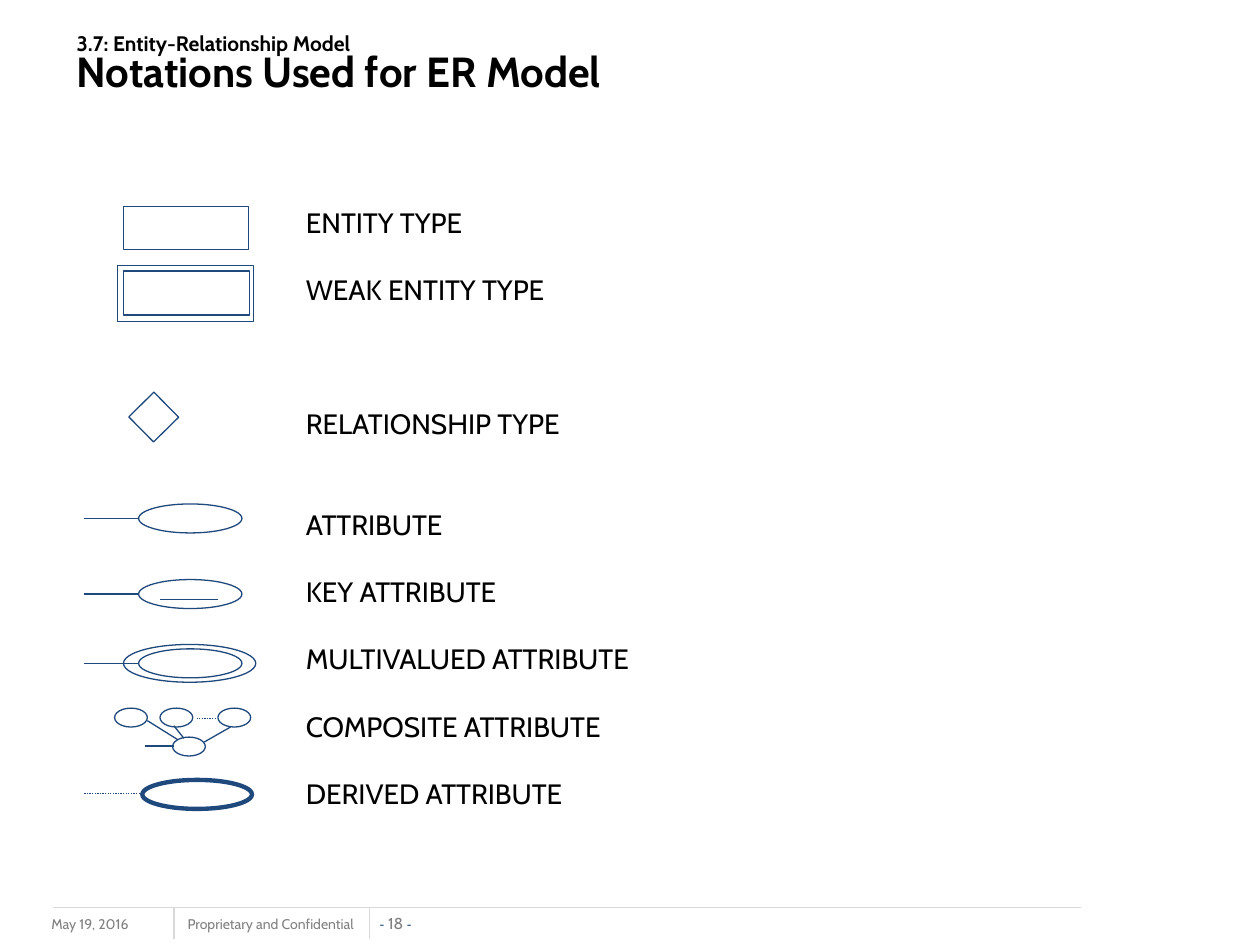
import pptx
import pptx.util
import pptx.dml.color
import pptx.enum.dml
import pptx.enum.shapes
import pptx.enum.text
import pptx.oxml
import pptx.oxml.ns

COLORS = {"ink": "1F497D", "rule": "D9D9D9", "muted": "808080", "text": "000000"}
COLUMNS, ROWS = 100, 75
RECTANGLE = pptx.enum.shapes.MSO_SHAPE.RECTANGLE
OVAL = pptx.enum.shapes.MSO_SHAPE.OVAL
ANCHOR = pptx.enum.text.MSO_ANCHOR
ALIGN = pptx.enum.text.PP_ALIGN
AUTO_SIZE = pptx.enum.text.MSO_AUTO_SIZE


class NotationSlide:
    """Draws ER notation on one slide, measured in columns and rows of a grid."""

    def __init__(self, presentation):
        self.column = presentation.slide_width / COLUMNS
        self.row = presentation.slide_height / ROWS
        self.slide = presentation.slides.add_slide(presentation.slide_layouts[6])
        self.shapes = self.slide.shapes

    def start_group(self):
        self.shapes = self.slide.shapes.add_group_shape().shapes

    def end_group(self):
        self.shapes = self.slide.shapes

    def place(self, *lengths):
        return [round(length * unit) for length, unit in zip(lengths, (self.column, self.row) * 2)]

    def color(self, name):
        return pptx.dml.color.RGBColor.from_string(COLORS[name])

    def outline(self, kind, left, top, width, height, weight=0.75, rotation=0):
        shape = self.shapes.add_shape(kind, *self.place(left, top, width, height))
        shape.shadow.inherit = False
        shape.fill.background()
        shape.line.color.rgb = self.color("ink")
        shape.line.width = pptx.util.Pt(weight)
        shape.rotation = rotation

    def line(self, start, end, color="ink", dotted=False):
        connector = self.shapes.add_connector(
            pptx.enum.shapes.MSO_CONNECTOR.STRAIGHT, *self.place(*start, *end))
        connector.line.color.rgb = self.color(color)
        connector.line.width = pptx.util.Pt(0.75)
        if dotted:
            connector.line.dash_style = pptx.enum.dml.MSO_LINE.ROUND_DOT
        connector._element.spPr.append(pptx.oxml.parse_xml(
            f"<a:effectLst {pptx.oxml.ns.nsdecls('a')}/>"))

    def text_frame(self, box, anchor=ANCHOR.TOP, wrap=True, grow=False):
        frame = self.shapes.add_textbox(*self.place(*box)).text_frame
        frame.word_wrap = wrap
        frame.vertical_anchor = anchor
        frame.auto_size = AUTO_SIZE.SHAPE_TO_FIT_TEXT if grow else AUTO_SIZE.NONE
        return frame

    def style(self, font, size, color="text", bold=False, name="Cabin"):
        font.name = name
        font.size = pptx.util.Pt(size)
        font.bold = bold
        font.color.rgb = self.color(color)

    def footer_text(self, text, box, wrap=True):
        paragraph = self.text_frame(box, wrap=wrap, grow=not wrap).paragraphs[0]
        paragraph.text = text
        self.style(paragraph.font, 8, "muted")

    def page_number(self, number, box):
        frame = self.text_frame(box, ANCHOR.BOTTOM, wrap=False, grow=True)
        frame.margin_left = frame.margin_right = frame.margin_top = frame.margin_bottom = 0
        paragraph = frame.paragraphs[0]
        paragraph.alignment = ALIGN.CENTER
        dash = (8, "ink", False, "Arial")
        for text, style in (("- ", dash), (f"{number} ", (9, "muted")), ("-", dash)):
            run = paragraph.add_run()
            run.text = text
            self.style(run.font, *style)

    def title(self, section, heading, box):
        paragraph = self.text_frame(box, ANCHOR.MIDDLE).paragraphs[0]
        paragraph.line_spacing = 0.8
        self.style(paragraph.font, 12, bold=True)
        paragraph.add_run().text = section
        paragraph.add_line_break()
        run = paragraph.add_run()
        run.text = heading
        run.font.size = pptx.util.Pt(24)

    def labels(self, entries, box, size=16):
        frame = self.text_frame(box, grow=True)
        for index, (text, gap_lines) in enumerate(entries):
            paragraph = frame.add_paragraph() if index else frame.paragraphs[0]
            paragraph.text = text
            paragraph.space_before = pptx.util.Pt(gap_lines * size * 1.2)
            self.style(paragraph.font, size)

    def attribute(self, top, underlined=False, multivalued=False):
        middle = top + 1.15
        self.start_group()
        self.outline(OVAL, 11, top, 8.2, 2.3)
        self.line((11, middle), (6.7, middle))
        if underlined:
            self.line((12.7, middle + 0.45), (17.3, middle + 0.45))
        if multivalued:
            self.outline(OVAL, 9.8, middle - 1.5, 10.5, 3)
        self.end_group()

    def composite_attribute(self):
        self.start_group()
        for left, top in ((9.1, 56.2), (12.7, 56.2), (17.3, 56.2), (13.7, 58.5)):
            self.outline(OVAL, left, top, 2.6, 1.5)
        for start, end in (((13.8, 59.2), (11.5, 59.2)), ((11.7, 57.2), (14.1, 58.7)),
                           ((13.8, 57.6), (14.6, 58.6)), ((16.2, 58.9), (18.3, 57.7))):
            self.line(start, end)
        self.line((15.6, 57), (17.2, 57), dotted=True)
        self.end_group()


def main():
    presentation = pptx.Presentation()
    presentation.slide_width = pptx.util.Inches(10)
    presentation.slide_height = pptx.util.Inches(7.5)
    page = NotationSlide(presentation)

    page.footer_text("May 19, 2016", (3.1, 72.2, 13.3, 2.5))
    page.footer_text("Proprietary and Confidential", (13.9, 72.2, 15.7, 2.4), wrap=False)
    page.page_number(18, (30.1, 72.5, 2.6, 1.5))
    page.line((85.8, 72), (4.2, 72), "rule")
    for left in (13.8, 29.3):
        page.line((left, 72), (left, 74.5), "rule")

    page.outline(RECTANGLE, 9.8, 16.4, 9.9, 3.4)
    page.start_group()
    page.outline(RECTANGLE, 9.8, 21.5, 10, 3.5)
    page.outline(RECTANGLE, 9.3, 21.1, 10.8, 4.4)
    page.end_group()
    page.outline(RECTANGLE, 10.8, 31.7, 2.8, 2.8, rotation=45.4)

    page.attribute(40)
    page.attribute(46, underlined=True)
    page.attribute(51.5, multivalued=True)
    page.outline(OVAL, 11.3, 61.9, 8.7, 2.3, weight=2.5)
    page.line((11.3, 63), (6.7, 63), dotted=True)
    page.composite_attribute()

    page.labels((("ENTITY TYPE", 0), ("WEAK ENTITY TYPE", 1), ("RELATIONSHIP TYPE", 3),
                 ("ATTRIBUTE", 2), ("KEY ATTRIBUTE", 1), ("MULTIVALUED ATTRIBUTE", 1),
                 ("COMPOSITE ATTRIBUTE", 1), ("DERIVED ATTRIBUTE", 1)),
                (23.3, 15.8, 31.7, 49.1))
    page.title("3.7: Entity-Relationship Model", "Notations Used for ER Model",
               (5.1, 1.3, 89.2, 7.8))
    presentation.save("out.pptx")


if __name__ == "__main__":
    main()
